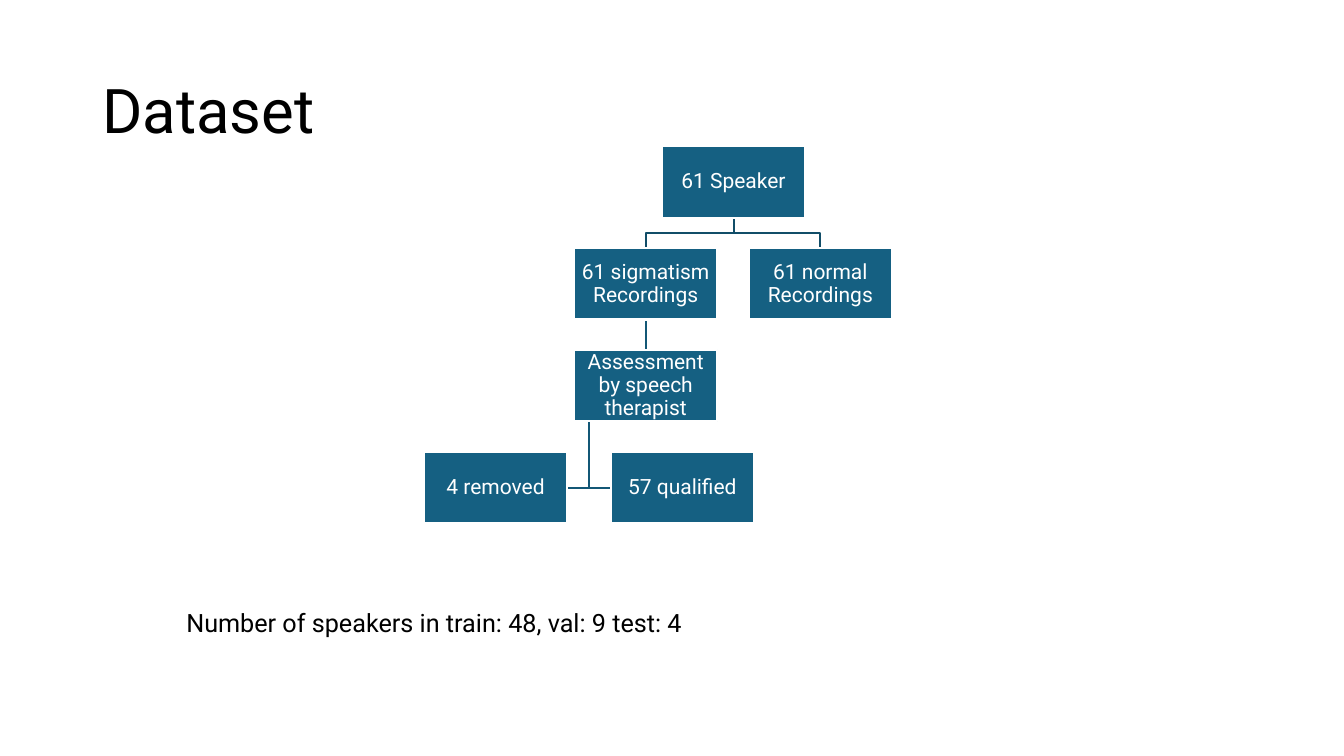
from pptx import Presentation
from pptx import util as u
from pptx.dml.color import RGBColor
from pptx.enum import shapes, text
from pptx.oxml.ns import qn
from lxml import etree

Pt = u.Pt
BLACK = RGBColor(0x00, 0x00, 0x00)
WHITE = RGBColor(0xFF, 0xFF, 0xFF)
NODE_BLUE = RGBColor(0x15, 0x60, 0x82)
UPPER_LINK = RGBColor(0x11, 0x4D, 0x68)
LOWER_LINK = RGBColor(0x13, 0x57, 0x76)
FONT = "Roboto"
LINE_WIDTH = 1.5

# Tree geometry: node size, row pitch, and (label, left offset, row) per node
NODE_W, NODE_H, ROW_PITCH = 102, 51, 72.75
HANG_INDENT = 10.75
NODES = {
    "speakers": ("61 Speaker", 170, 0),
    "sigmatism": ("61 sigmatism Recordings", 107.25, 1),
    "assessment": ("Assessment by speech therapist", 107.25, 2),
    "qualified": ("57 qualified", 133.5, 3),
    "removed": ("4 removed", 0, 3),
    "normal": ("61 normal Recordings", 232, 1),
}


def apply(target, values):
    for name, value in values.items():
        setattr(target, name, value)


def place(shape, box):
    apply(shape, dict(zip(("left", "top", "width", "height"), map(Pt, box))))


def write(frame, wording, size, color, align, spacing):
    frame.text = wording
    paragraph = frame.paragraphs[0]
    apply(paragraph, {"alignment": align, "line_spacing": spacing})
    apply(paragraph.font, {"name": FONT, "size": Pt(size)})
    paragraph.font.color.rgb = color


def style_line(line, color):
    line.color.rgb = color
    line.width = Pt(LINE_WIDTH)


def add_heading(slide, box):
    heading = slide.shapes.title
    place(heading, box)
    apply(heading.text_frame, {"vertical_anchor": text.MSO_ANCHOR.MIDDLE,
                               "word_wrap": True})
    write(heading.text_frame, "Dataset", 44, BLACK, text.PP_ALIGN.LEFT, 0.9)


def add_elbow(slide, points, color):
    start, *rest = [(Pt(x), Pt(y)) for x, y in points]
    builder = slide.shapes.build_freeform(*start)
    builder.add_line_segments(rest, close=False)
    elbow = builder.convert_to_shape()
    elbow.shadow.inherit = False
    elbow.fill.background()
    style_line(elbow.line, color)


def add_node(slide, wording, left, top):
    node = slide.shapes.add_shape(shapes.MSO_SHAPE.RECTANGLE, Pt(left), Pt(top),
                                  Pt(NODE_W), Pt(NODE_H))
    node.shadow.inherit = False
    node.fill.solid()
    node.fill.fore_color.rgb = NODE_BLUE
    style_line(node.line, WHITE)
    margins = ("margin_left", "margin_right", "margin_top", "margin_bottom")
    apply(node.text_frame, dict.fromkeys(margins, Pt(0.75)))
    apply(node.text_frame, {"word_wrap": True,
                            "vertical_anchor": text.MSO_ANCHOR.MIDDLE})
    write(node.text_frame, wording, 15, WHITE, text.PP_ALIGN.CENTER, 0.9)
    return node


def add_speaker_tree(slide, left, top):
    corner = {key: (left + offset, top + row * ROW_PITCH)
              for key, (_, offset, row) in NODES.items()}

    # Branches from the speakers down to both recording sets
    root_x, root_y = corner["speakers"]
    root_x, root_y = root_x + NODE_W / 2, root_y + NODE_H
    for key in ("normal", "sigmatism"):
        x, y = corner[key]
        x, bend = x + NODE_W / 2, (root_y + y) / 2
        add_elbow(slide, [(root_x, root_y), (root_x, bend), (x, bend), (x, y)],
                  UPPER_LINK)

    # Hanging branches from the assessment to its two outcomes
    hang_x, hang_y = corner["assessment"]
    hang_x, hang_y = hang_x + HANG_INDENT, hang_y + NODE_H
    for key, side in (("removed", NODE_W), ("qualified", 0)):
        x, y = corner[key]
        middle = y + NODE_H / 2
        add_elbow(slide, [(hang_x, hang_y), (hang_x, middle), (x + side, middle)],
                  LOWER_LINK)

    # Straight link, kept behind the nodes it joins
    link = slide.shapes.add_connector(shapes.MSO_CONNECTOR.STRAIGHT, 0, 0, 0, 0)
    style_line(link.line, LOWER_LINK)
    etree.SubElement(link._element.spPr, qn("a:effectLst"))

    # Nodes
    nodes = {key: add_node(slide, NODES[key][0], *corner[key]) for key in NODES}
    link.begin_connect(nodes["sigmatism"], 2)
    link.end_connect(nodes["assessment"], 0)


def add_split_note(slide, box):
    note = slide.shapes.add_textbox(*map(Pt, box))
    note.text_frame.word_wrap = True
    write(note.text_frame, "Number of speakers in train: 48, val: 9 test: 4",
          18, BLACK, text.PP_ALIGN.LEFT, 1.0)


def main():
    deck = Presentation()
    apply(deck, {"slide_width": Pt(960), "slide_height": Pt(540)})
    slide = deck.slides.add_slide(deck.slide_layouts[5])
    add_heading(slide, (66, 28.75, 828, 104.5))
    add_speaker_tree(slide, 303, 104.5)
    add_split_note(slide, (126, 430, 624, 29))
    deck.save("out.pptx")


if __name__ == "__main__":
    main()
